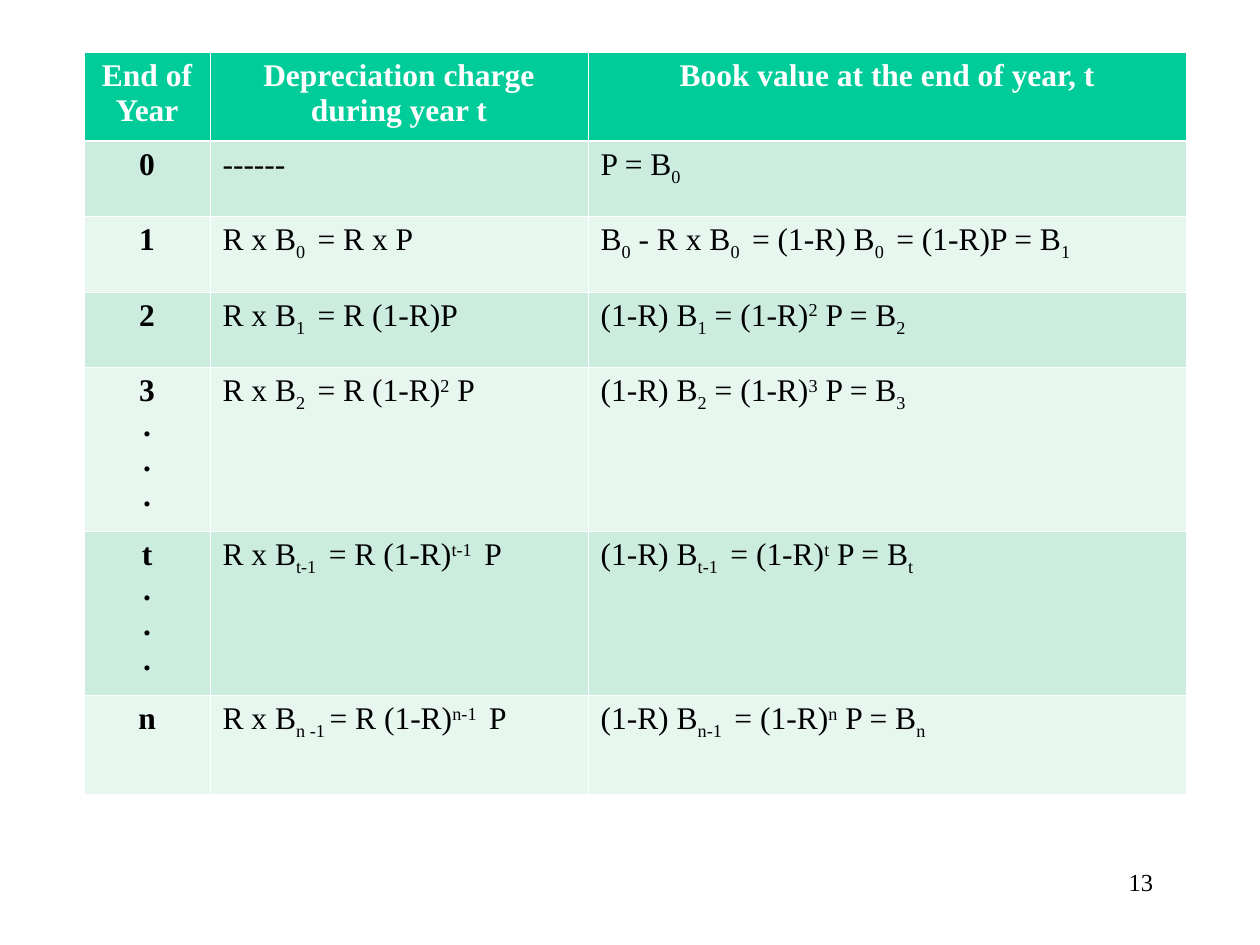
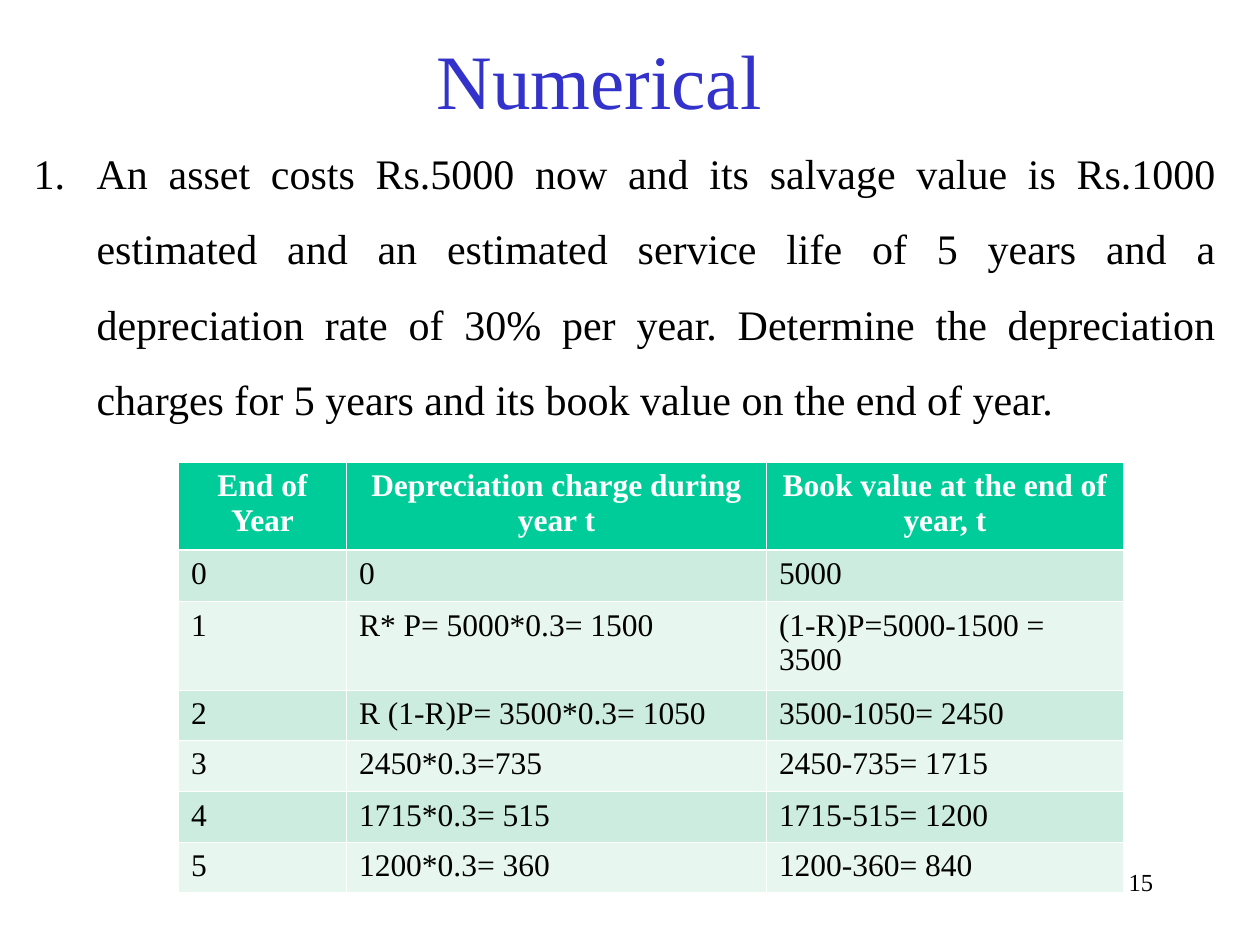
from dataclasses import dataclass

from lxml import etree
from pptx import Presentation
from pptx.dml.color import RGBColor
from pptx.enum.text import MSO_ANCHOR, MSO_AUTO_SIZE, PP_ALIGN
from pptx.oxml.ns import qn
from pptx.util import Emu, Pt

EMU_PER_PX = 7620  # 120 px to the inch
LEFT, CENTER, RIGHT, JUSTIFY = PP_ALIGN.LEFT, PP_ALIGN.CENTER, PP_ALIGN.RIGHT, PP_ALIGN.JUSTIFY
TOP, MIDDLE = MSO_ANCHOR.TOP, MSO_ANCHOR.MIDDLE
NO_AUTOFIT = MSO_AUTO_SIZE.NONE
TITLE_AND_CONTENT, BLANK = 1, 6
BASELINES = {"_": "-25000", "^": "30000"}


@dataclass(frozen=True)
class Theme:
    font: str = "Times New Roman"
    ink: str = "000000"
    paper: str = "FFFFFF"
    title: str = "3333CC"
    header: str = "00CC99"
    bands: tuple[str, str] = ("CBECDE", "E7F6EF")
    title_size: int = 44
    body_size: int = 24
    table_size: int = 18
    number_size: int = 14
    rule: float = 0.45
    header_rule: float = 1.47


@dataclass(frozen=True)
class Box:
    left: int
    top: int
    width: int
    height: int

    def emu(self) -> tuple[Emu, ...]:
        return tuple(px(v) for v in (self.left, self.top, self.width, self.height))


@dataclass(frozen=True)
class Schedule:
    left: int
    top: int
    columns: tuple[int, ...]
    row_heights: tuple[int, ...]
    rows: tuple[tuple[str, str, str], ...]
    emphasize_years: bool = False


THEME = Theme()
TITLE_BOX = Box(70, 20, 1020, 110)
PROBLEM_BOX = Box(20, 110, 1150, 320)
NUMBER_BOX = Box(860, 820, 250, 60)
HEADINGS = ("End of Year", "Depreciation charge during year t", "Book value at the end of year, t")

FORMULAS = Schedule(
    80, 50, (120, 360, 570), (84, 72, 72, 72, 156, 156, 94),
    (
        ("0", "------", "P = B{_0}"),
        ("1", "R x B{_0 } = R x P", "B{_0} - R x B{_0 } = (1-R) B{_0 } = (1-R)P = B{_1}"),
        ("2", "R x B{_1 } = R (1-R)P", "(1-R) B{_1} = (1-R){^2} P = B{_2}"),
        ("3\n.\n.\n.", "R x B{_2 } = R (1-R){^2} P", "(1-R) B{_2} = (1-R){^3} P = B{_3}"),
        ("t\n.\n.\n.", "R x B{_t-1 } = R (1-R){^t-1 } P", "(1-R) B{_t-1 } = (1-R){^t} P = B{_t}"),
        ("n", "R x B{_n -1 }= R (1-R){^n-1 } P", "(1-R) B{_n-1 } = (1-R){^n} P = B{_n}"),
    ),
    emphasize_years=True,
)

SOLUTION = Schedule(
    170, 440, (160, 400, 340), (84, 49, 84, 48, 49, 48, 48),
    (
        ("0", "0", "5000"),
        ("1", "R* P= 5000*0.3= 1500", "(1-R)P=5000-1500 = 3500"),
        ("2", "R (1-R)P= 3500*0.3= 1050", "3500-1050= 2450"),
        ("3", "2450*0.3=735", "2450-735= 1715"),
        ("4", "1715*0.3= 515", "1715-515= 1200"),
        ("5", "1200*0.3= 360", "1200-360= 840"),
    ),
)

PROBLEM = (
    "An asset costs Rs.5000 now and its salvage value is Rs.1000 estimated and an "
    "estimated service life of 5 years and a depreciation rate of 30% per year. "
    "Determine the depreciation charges for 5 years and its book value on the end of year."
)


def px(value: int) -> Emu:
    return Emu(value * EMU_PER_PX)


def split_scripts(line: str) -> list[tuple[str, str]]:
    """Split a line into (text, mark) parts; {_x} is subscript and {^x} superscript."""
    plain, *scripts = line.split("{")
    parts = [(plain, "")]
    for script in scripts:
        raised, rest = script.split("}")
        parts += [(raised[1:], raised[0]), (rest, "")]
    return [part for part in parts if part[0]]


def write(frame, text: str, *, size: int, color: str = THEME.ink, bold: bool = False,
          align=LEFT, line_spacing: float = 1.0) -> None:
    for index, line in enumerate(text.split("\n")):
        paragraph = frame.add_paragraph() if index else frame.paragraphs[0]
        paragraph.alignment = align
        paragraph.line_spacing = line_spacing
        paragraph.space_before = Pt(0)
        for content, mark in split_scripts(line):
            run = paragraph.add_run()
            run.text = content
            run.font.name = THEME.font
            run.font.size = Pt(size)
            run.font.bold = bold
            run.font.color.rgb = RGBColor.from_string(color)
            if mark:
                run._r.get_or_add_rPr().set("baseline", BASELINES[mark])


def fill_placeholder(placeholder, box: Box, anchor):
    placeholder.left, placeholder.top, placeholder.width, placeholder.height = box.emu()
    frame = placeholder.text_frame
    frame.word_wrap = True
    frame.auto_size = NO_AUTOFIT
    frame.vertical_anchor = anchor
    return frame


def number_paragraph(paragraph, indent: int) -> None:
    properties = paragraph._p.get_or_add_pPr()
    properties.set("marL", str(px(indent)))
    properties.set("indent", str(-px(indent)))
    bullet_color = etree.SubElement(properties, qn("a:buClr"))
    etree.SubElement(bullet_color, qn("a:srgbClr"), val=THEME.ink)
    etree.SubElement(properties, qn("a:buFont"), typeface=THEME.font)
    etree.SubElement(properties, qn("a:buAutoNum"), type="arabicPeriod")


def add_borders(cell, top: float, bottom: float) -> None:
    properties = cell._tc.get_or_add_tcPr()
    for side, width in (("L", THEME.rule), ("R", THEME.rule), ("T", top), ("B", bottom)):
        line = etree.SubElement(properties, qn(f"a:ln{side}"), w=str(Pt(width)))
        fill = etree.SubElement(line, qn("a:solidFill"))
        etree.SubElement(fill, qn("a:srgbClr"), val=THEME.paper)


def add_schedule(slide, schedule: Schedule) -> None:
    box = Box(schedule.left, schedule.top, sum(schedule.columns), sum(schedule.row_heights))
    rows = (HEADINGS, *schedule.rows)
    table = slide.shapes.add_table(len(rows), len(HEADINGS), *box.emu()).table
    for column, width in zip(table.columns, schedule.columns):
        column.width = px(width)
    for row, height in zip(table.rows, schedule.row_heights):
        row.height = px(height)
    for row_index, texts in enumerate(rows):
        is_header = row_index == 0
        for column_index, text in enumerate(texts):
            cell = table.cell(row_index, column_index)
            add_borders(cell,
                        top=THEME.header_rule if row_index == 1 else THEME.rule,
                        bottom=THEME.header_rule if is_header else THEME.rule)
            cell.fill.solid()
            cell.fill.fore_color.rgb = RGBColor.from_string(
                THEME.header if is_header else THEME.bands[(row_index - 1) % 2])
            strong = is_header or (schedule.emphasize_years and column_index == 0)
            write(cell.text_frame, text, size=THEME.table_size, bold=strong,
                  color=THEME.paper if is_header else THEME.ink,
                  align=CENTER if strong else LEFT)


def add_page_number(slide, number: int) -> None:
    frame = slide.shapes.add_textbox(*NUMBER_BOX.emu()).text_frame
    frame.word_wrap = True
    write(frame, str(number), size=THEME.number_size, align=RIGHT)


def build_formulas(deck) -> None:
    slide = deck.slides.add_slide(deck.slide_layouts[BLANK])
    add_page_number(slide, 13)
    add_schedule(slide, FORMULAS)


def build_numerical(deck) -> None:
    slide = deck.slides.add_slide(deck.slide_layouts[TITLE_AND_CONTENT])
    heading = fill_placeholder(slide.shapes.title, TITLE_BOX, MIDDLE)
    write(heading, "Numerical ", size=THEME.title_size, color=THEME.title, align=CENTER)
    problem = fill_placeholder(slide.placeholders[1], PROBLEM_BOX, TOP)
    write(problem, PROBLEM, size=THEME.body_size, align=JUSTIFY, line_spacing=1.5)
    number_paragraph(problem.paragraphs[0], indent=60)
    add_page_number(slide, 15)
    add_schedule(slide, SOLUTION)


def main() -> None:
    deck = Presentation()
    deck.slide_width, deck.slide_height = px(1200), px(900)
    build_formulas(deck)
    build_numerical(deck)
    deck.save("out.pptx")


if __name__ == "__main__":
    main()
